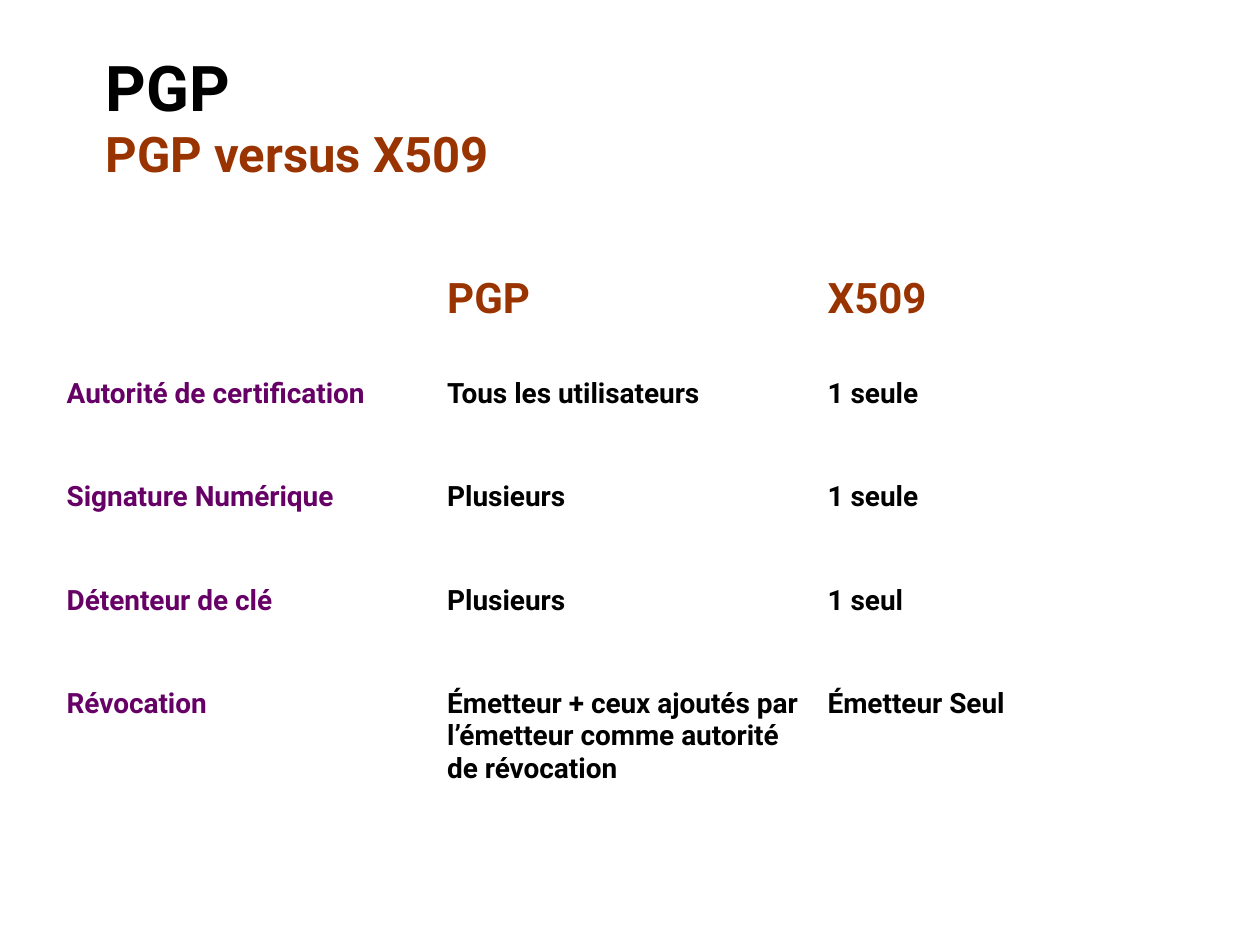
from lxml import etree
from pptx import Presentation
from pptx.dml.color import RGBColor
from pptx.enum.text import MSO_ANCHOR
from pptx.oxml.ns import qn
from pptx.util import Cm, Pt

MIDDLE = MSO_ANCHOR.MIDDLE
FONT = "Roboto"
BLACK = RGBColor(0x00, 0x00, 0x00)
RUST = RGBColor(0x99, 0x33, 0x00)
PURPLE = RGBColor(0x66, 0x00, 0x66)
WHITE = RGBColor(0xFF, 0xFF, 0xFF)

TITLE = "PGP"
SUBTITLE = "PGP versus X509"
ROWS = [
    ("", "PGP", "X509"),
    ("Autorité de certification", "Tous les utilisateurs", "1 seule"),
    ("Signature Numérique", "Plusieurs", "1 seule"),
    ("Détenteur de clé", "Plusieurs", "1 seul"),
    ("Révocation",
     "Émetteur + ceux ajoutés par l’émetteur comme autorité de révocation",
     "Émetteur Seul"),
]
COL_WIDTH = 7.67
ROW_HEIGHTS = [2.08, 2.08, 2.08, 2.08, 2.98]
OUTER, INNER = Pt(1.08), Pt(0.45)


def style(r, size, color):
    r.font.name = FONT
    r.font.size = Pt(size)
    r.font.bold = True
    r.font.color.rgb = color


def set_borders(cell, widths):
    tc_pr = cell._tc.get_or_add_tcPr()
    for side, width in widths.items():
        ln = etree.SubElement(tc_pr, qn(f"a:ln{side}"), w=str(width))
        fill = etree.SubElement(ln, qn("a:solidFill"))
        etree.SubElement(fill, qn("a:srgbClr"), val=str(WHITE))


def add_title(s):
    sp = s.shapes.add_textbox(Cm(1.88), Cm(0.74), Cm(21.59), Cm(3.18))
    tf = sp.text_frame
    tf.word_wrap = True
    tf.vertical_anchor = MIDDLE
    p = tf.paragraphs[0]
    p.text = f"{TITLE}\v{SUBTITLE}"
    for r, size, color in zip(p.runs, (36, 28), (BLACK, RUST)):
        style(r, size, color)


def add_comparison(s):
    n_rows, n_cols = len(ROWS), len(ROWS[0])
    table = s.shapes.add_table(n_rows, n_cols, Cm(1.09), Cm(5.41),
                               Cm(COL_WIDTH * n_cols), Cm(sum(ROW_HEIGHTS))).table
    table.first_row = False
    table.horz_banding = False
    for col in table.columns:
        col.width = Cm(COL_WIDTH)
    for i, (texts, height) in enumerate(zip(ROWS, ROW_HEIGHTS)):
        table.rows[i].height = Cm(height)
        for j, text in enumerate(texts):
            cell = table.cell(i, j)
            set_borders(cell, {
                "L": OUTER if j == 0 else INNER,
                "R": OUTER if j == n_cols - 1 else INNER,
                "T": OUTER if i == 0 else INNER,
                "B": OUTER if i == n_rows - 1 else INNER,
            })
            cell.fill.background()
            cell.text_frame.text = text
            color = RUST if i == 0 else PURPLE if j == 0 else BLACK
            for r in cell.text_frame.paragraphs[0].runs:
                style(r, 24 if i == 0 else 16, color)


def main():
    prs = Presentation()
    prs.slide_width, prs.slide_height = Cm(25.4), Cm(19.05)
    s = prs.slides.add_slide(prs.slide_layouts[6])
    add_title(s)
    add_comparison(s)
    prs.save("out.pptx")


if __name__ == "__main__":
    main()
